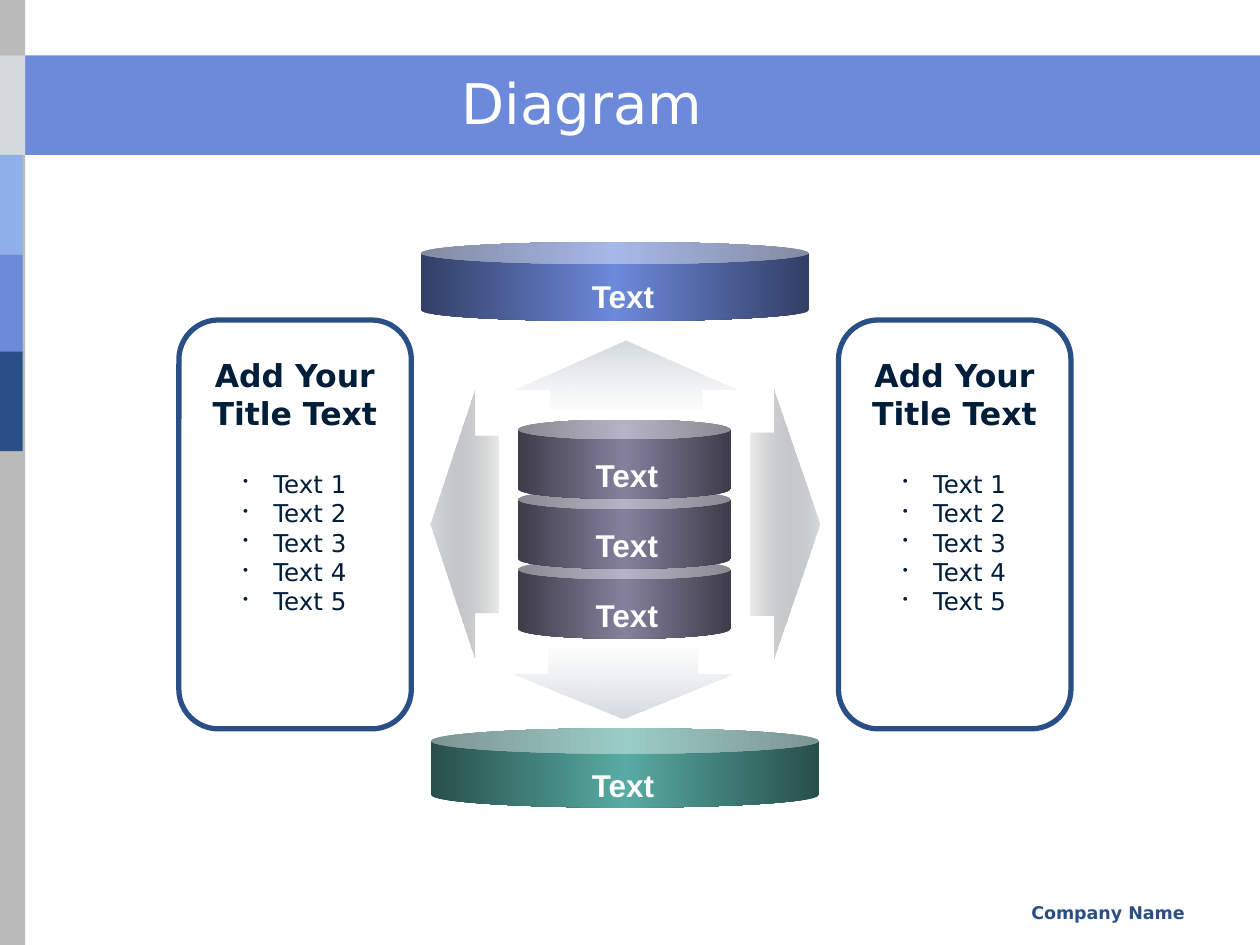
"""Build a diagram slide of stacked cans, four arrows and two side panels."""
import pptx
import pptx.dml.color
import pptx.enum.shapes
import pptx.enum.text
import pptx.oxml
import pptx.oxml.ns
import pptx.util
from lxml import etree

theme = {
    "white": "FFFFFF", "blue": "6C89DA", "sky": "8FAFE9", "navy": "2A4F86",
    "ink": "001D3A", "grey": "BABABA", "pale": "D3D9DD",
    "sans": "DejaVu Sans", "label": "Arial",
    "title": 32, "head": 18, "item": 14, "foot": 10,
}
ends = {"pale": ("D3D9DD", 100), "dark": ("626466", 12), "mist": ("E3E7E9", 12)}
cans = {
    "slate": ("3E3C49", "85819D"),
    "blue": ("323F65", "6C89DA"),
    "green": ("284F4B", "57ABA3"),
}

Kind = pptx.enum.shapes.MSO_SHAPE
Align = pptx.enum.text.PP_ALIGN
Color = pptx.dml.color.RGBColor.from_string

deck = pptx.Presentation()
deck.slide_width = pptx.util.Inches(10)
deck.slide_height = pptx.util.Inches(7.5)
col, row = deck.slide_width / 100, deck.slide_height / 75
slide = deck.slides.add_slide(deck.slide_layouts[6])


def draw(kind, x, y, w, h, fill=None, stops=(), turn=0, adj=()):
    shape = slide.shapes.add_shape(
        kind, round(x * col), round(y * row), round(w * col), round(h * row))
    shape.shadow.inherit = False
    shape.line.fill.background()
    for i, part in enumerate(adj):
        shape.adjustments[i] = part
    if fill:
        shape.fill.solid()
        shape.fill.fore_color.rgb = Color(fill)
    elif stops:
        shape.fill.gradient()
        grad = shape.fill._xPr.find(pptx.oxml.ns.qn("a:gradFill"))
        marks = "".join(
            f'<a:gs pos="{i * 100000 // (len(stops) - 1)}"><a:srgbClr val="{tint}">'
            f'<a:alpha val="{alpha * 1000}"/></a:srgbClr></a:gs>'
            for i, (tint, alpha) in enumerate(stops))
        fresh = pptx.oxml.parse_xml(
            f'<a:gradFill {pptx.oxml.ns.nsdecls("a")} rotWithShape="1">'
            f'<a:gsLst>{marks}</a:gsLst><a:lin ang="{turn * 60000}" scaled="0"/></a:gradFill>')
        grad.getparent().replace(grad, fresh)
    else:
        shape.fill.background()
    return shape


def write(x, y, w, h, lines, size, tint, face, bold=False, align=Align.CENTER, wrap=True):
    box = slide.shapes.add_textbox(
        round(x * col), round(y * row), round(w * col), round(h * row))
    frame = box.text_frame
    frame.word_wrap = wrap
    frame.text = "\n".join(lines)
    for para in frame.paragraphs:
        para.alignment = align
        para.font.size = pptx.util.Pt(size)
        para.font.bold = bold
        para.font.name = face
        para.font.color.rgb = Color(tint)
    return frame


draw(Kind.RECTANGLE, 0, 4.4, 100, 7.9, theme["blue"])
draw(Kind.RECTANGLE, 0, 0, 2, 75, theme["grey"])
for y, w, name in ((4.4, 2, "pale"), (12.3, 1.8, "sky"), (20.2, 1.8, "blue"), (27.9, 1.8, "navy")):
    draw(Kind.RECTANGLE, 0, y, w, 7.9, theme[name])

write(63.3, 71.1, 31.7, 2.5, ["Company Name"], theme["foot"], theme["navy"],
      theme["sans"], True, Align.RIGHT)
title = write(5.8, 5, 80.8, 6.2, ["Diagram"], theme["title"], theme["white"], theme["sans"])
title.vertical_anchor = pptx.enum.text.MSO_ANCHOR.MIDDLE

for kind, x, y, w, h, names, turn, adj in (
    (Kind.LEFT_ARROW, 34.2, 30.9, 5.4, 21.4, ("pale", "dark"), 0, (0.66, 0.65)),
    (Kind.RIGHT_ARROW, 59.6, 30.9, 5.4, 21.4, ("dark", "pale"), 0, (0.68, 0.66)),
    (Kind.UP_ARROW, 40.8, 27, 17.7, 5.5, ("pale", "mist"), 90, (0.68, 0.71)),
    (Kind.DOWN_ARROW, 40.6, 51.5, 17.7, 5.5, ("mist", "pale"), 90, (0.67, 0.64)),
):
    draw(kind, x, y, w, h, stops=[ends[name] for name in names], turn=turn, adj=adj)

stack = [(41.1, 33.3 + 5.55 * i, 16.9, 0.25, "slate", 46.2, 2.4) for i in (2, 1, 0)]
for x, y, w, lip, name, left, drop in stack + [
    (33.4, 19.2, 30.8, 0.28, "blue", 45.9, 2.3),
    (34.2, 57.8, 30.8, 0.32, "green", 45.9, 2.5),
]:
    edge, core = cans[name]
    draw(Kind.CAN, x, y, w, 6.3, stops=((edge, 100), (core, 100), (edge, 100)), adj=(lip,))
    write(left, y + drop, 7.1, 4, ["Text"], theme["head"], theme["white"],
          theme["label"], True, wrap=False)

heads = ["Add Your", "Title Text"]
items = [f"Text {i}" for i in range(1, 6)]
for x in (14.2, 66.55):
    panel = draw(Kind.ROUNDED_RECTANGLE, x, 25.4, 18.45, 32.45, adj=(0.17,))
    panel.line.color.rgb = Color(theme["navy"])
    panel.line.width = pptx.util.Pt(3)
    frame = write(x + 0.75, 27.8, 16.9, 21.7, heads, theme["head"], theme["ink"],
                  theme["sans"], True)
    for i, item in enumerate(items):
        para = frame.add_paragraph()
        para.text = item
        para.alignment = Align.CENTER
        if i == 0:
            para.space_before = pptx.util.Pt(21)
        props = para._p.get_or_add_pPr()
        props.set("marL", str(round(2.4 * col)))
        props.set("indent", str(round(-2.4 * col)))
        tint = etree.SubElement(props, pptx.oxml.ns.qn("a:buClr"))
        etree.SubElement(tint, pptx.oxml.ns.qn("a:srgbClr"), val=theme["ink"])
        etree.SubElement(props, pptx.oxml.ns.qn("a:buSzPct"), val="60000")
        etree.SubElement(props, pptx.oxml.ns.qn("a:buChar"), char="•")
        para.font.size = pptx.util.Pt(theme["item"])
        para.font.bold = False
        para.font.name = theme["sans"]
        para.font.color.rgb = Color(theme["ink"])

deck.save("out.pptx")
